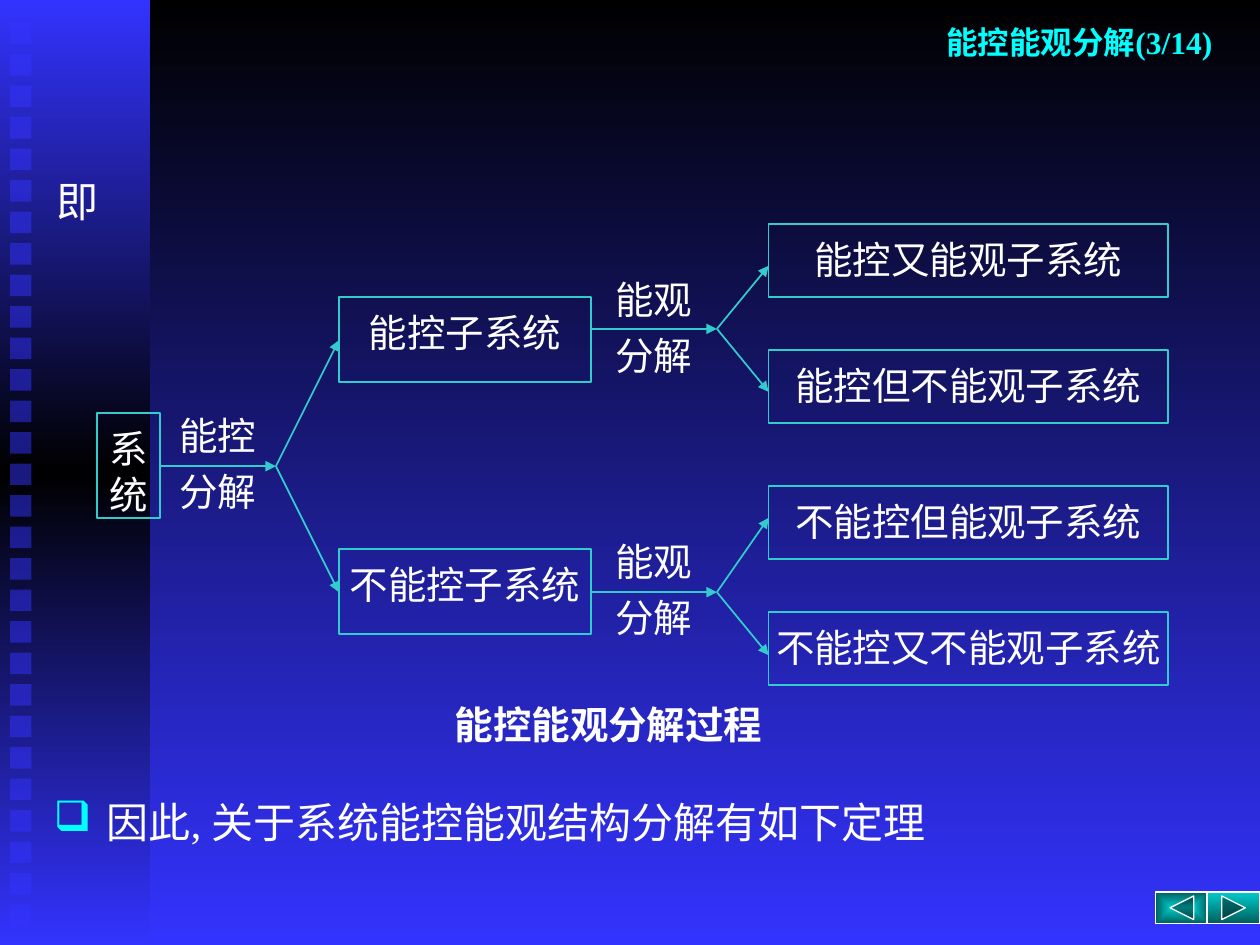
"""Build the slide on controllability and observability decomposition."""
import pptx
import pptx.dml.color
import pptx.enum.shapes
import pptx.enum.text
import pptx.oxml
import pptx.oxml.ns
import pptx.util

Inches = pptx.util.Inches
SHAPE = pptx.enum.shapes.MSO_SHAPE
ALIGN = pptx.enum.text.PP_ALIGN
ANCHOR = pptx.enum.text.MSO_ANCHOR
NS = pptx.oxml.ns.nsdecls("a")

BLUE, BLACK, WHITE, CYAN, TEAL = "3333FF", "000000", "FFFFFF", "00FFFF", "33CCCC"
BUTTON_STOPS = [(0, "00CCCC"), (100, "005E5E")]

SYSTEMS = [
    ("系统", 0.77, 3.28, 0.5, 0.83, 0.1),
    ("能控子系统", 2.69, 2.36, 2, 0.67, 0.1),
    ("不能控子系统", 2.69, 4.36, 2, 0.67, 0.02),
    ("能控又能观子系统", 6.1, 1.78, 3.17, 0.58, 0.1),
    ("能控但不能观子系统", 6.1, 2.78, 3.17, 0.58, 0.02),
    ("不能控但能观子系统", 6.1, 3.86, 3.17, 0.58, 0.02),
    ("不能控又不能观子系统", 6.1, 4.86, 3.17, 0.58, 0.02),
]
STEPS = [
    (["能控分解"], 1.27, 3.11, 0.92, 1),
    (["能观", "分解"], 4.69, 2.03, 1, 1.08),
    (["能观", "分解"], 4.69, 4.11, 1, 1.17),
]
BRANCHES = [
    (1.27, 2.19, 3.7, 2.69, (2.7, 4.7)),
    (4.69, 5.69, 2.61, 6.1, (2.11, 3.11)),
    (4.69, 5.69, 4.7, 6.1, (4.11, 5.2)),
]
BUTTONS = [
    (SHAPE.ACTION_BUTTON_BACK_OR_PREVIOUS, 9.17),
    (SHAPE.ACTION_BUTTON_FORWARD_OR_NEXT, 9.58),
]


def rgb(color):
    return pptx.dml.color.RGBColor.from_string(color)


def xml(markup):
    return pptx.oxml.parse_xml(markup)


def paint_gradient(owner, fill, stops):
    fill.gradient()
    fill.gradient_angle = 270
    stop_list = next(owner.iter(pptx.oxml.ns.qn("a:gsLst")))
    for stop in list(stop_list):
        stop_list.remove(stop)
    for position, color in stops:
        stop_list.append(xml(
            f'<a:gs {NS} pos="{position * 1000}"><a:srgbClr val="{color}"/></a:gs>'))
    return stop_list.getparent()


def add_block(slide, kind, left, top, width, height):
    block = slide.shapes.add_shape(
        kind, Inches(left), Inches(top), Inches(width), Inches(height))
    block.shadow.inherit = False
    block.line.fill.background()
    return block


def outline(block, color, width):
    block.line.color.rgb = rgb(color)
    block.line.width = pptx.util.Pt(width)


def write(holder, lines, size=22, color=WHITE, bold=False, align=ALIGN.CENTER,
          side_inset=0.1, top_inset=0.05, anchor=ANCHOR.TOP, spacing=None, wrap=True):
    frame = holder.text_frame
    frame.word_wrap = wrap
    frame.vertical_anchor = anchor
    frame.margin_left = frame.margin_right = Inches(side_inset)
    frame.margin_top, frame.margin_bottom = Inches(top_inset), Inches(0.05)
    frame.text = "\n".join(lines)
    for paragraph in frame.paragraphs:
        paragraph.alignment = align
        paragraph.line_spacing = spacing
        font = paragraph.font
        font.name, font.size, font.bold = "Times New Roman", pptx.util.Pt(size), bold
        font.color.rgb = rgb(color)
    return frame


def add_text(slide, lines, left, top, width, height, **style):
    box = slide.shapes.add_textbox(
        Inches(left), Inches(top), Inches(width), Inches(height))
    return write(box, lines, **style)


def add_arrow(slide, x1, y1, x2, y2):
    arrow = slide.shapes.add_connector(
        pptx.enum.shapes.MSO_CONNECTOR.STRAIGHT,
        Inches(x1), Inches(y1), Inches(x2), Inches(y2))
    outline(arrow, TEAL, 1)
    properties = arrow.element.spPr
    line = properties.find(pptx.oxml.ns.qn("a:ln"))
    line.append(xml(f'<a:tailEnd {NS} type="triangle"/>'))
    properties.append(xml(f"<a:effectLst {NS}/>"))


def add_sidebar(slide):
    panel = add_block(slide, SHAPE.RECTANGLE, 0, 0, 1.19, 7.5)
    paint_gradient(panel.element, panel.fill, [(0, BLUE), (50, BLACK), (100, BLUE)])
    for row in range(29):
        square = add_block(slide, SHAPE.RECTANGLE, 0.08, 0.18 + 0.25 * row, 0.17, 0.17)
        square.fill.solid()
        square.fill.fore_color.rgb = rgb(BLUE)
        tint = next(square.element.spPr.iter(pptx.oxml.ns.qn("a:srgbClr")))
        tint.append(xml(f'<a:alpha {NS} val="50000"/>'))


def add_diagram(slide):
    for name, left, top, width, height, side_inset in SYSTEMS:
        system = add_block(slide, SHAPE.RECTANGLE, left, top, width, height)
        system.fill.background()
        outline(system, TEAL, 1)
        write(system, [name], side_inset=side_inset, top_inset=0.09)
    for start, fork, middle, end, targets in BRANCHES:
        add_arrow(slide, start, middle, fork, middle)
        for target in targets:
            add_arrow(slide, fork, middle, end, target)
    for lines, *place in STEPS:
        add_text(slide, lines, *place, side_inset=0.02, top_inset=0.09, spacing=1.2)


def add_conclusion(slide):
    frame = add_text(slide, ["因此, 关于系统能控能观结构分解有如下定理"],
                     0.33, 6.27, 9.42, 0.65, size=24, align=ALIGN.LEFT)
    properties = frame.paragraphs[0]._p.get_or_add_pPr()
    properties.set("marL", str(Inches(0.42)))
    properties.set("indent", str(-Inches(0.42)))
    properties.insert(0, xml(f'<a:buClr {NS}><a:srgbClr val="{CYAN}"/></a:buClr>'))
    properties.insert(1, xml(f'<a:buChar {NS} char="❑"/>'))


def add_buttons(slide):
    for kind, left in BUTTONS:
        button = add_block(slide, kind, left, 7.08, 0.42, 0.25)
        gradient = paint_gradient(button.element, button.fill, BUTTON_STOPS)
        outline(button, WHITE, 0.75)
        if kind == SHAPE.ACTION_BUTTON_BACK_OR_PREVIOUS:
            gradient.remove(gradient.find(pptx.oxml.ns.qn("a:lin")))
            gradient.append(xml(
                f'<a:path {NS} path="rect"><a:fillToRect l="50000" t="50000" '
                'r="50000" b="50000"/></a:path>'))


def main():
    deck = pptx.Presentation()
    deck.slide_width, deck.slide_height = Inches(10), Inches(7.5)
    slide = deck.slides.add_slide(deck.slide_layouts[6])
    paint_gradient(slide.element, slide.background.fill, [(0, BLACK), (100, BLUE)])
    add_sidebar(slide)
    add_text(slide, ["能控能观分解(3/14)"], 1.5, 0.17, 8.22, 0.33, size=18,
             color=CYAN, bold=True, align=ALIGN.RIGHT, anchor=ANCHOR.MIDDLE)
    add_text(slide, ["即"], 0.35, 1.34, 9.42, 0.5, size=24, align=ALIGN.LEFT)
    add_diagram(slide)
    add_text(slide, ["能控能观分解过程"], 3.51, 5.51, 2.64, 0.47,
             bold=True, anchor=ANCHOR.MIDDLE, wrap=False)
    add_conclusion(slide)
    add_buttons(slide)
    deck.save("out.pptx")


if __name__ == "__main__":
    main()
